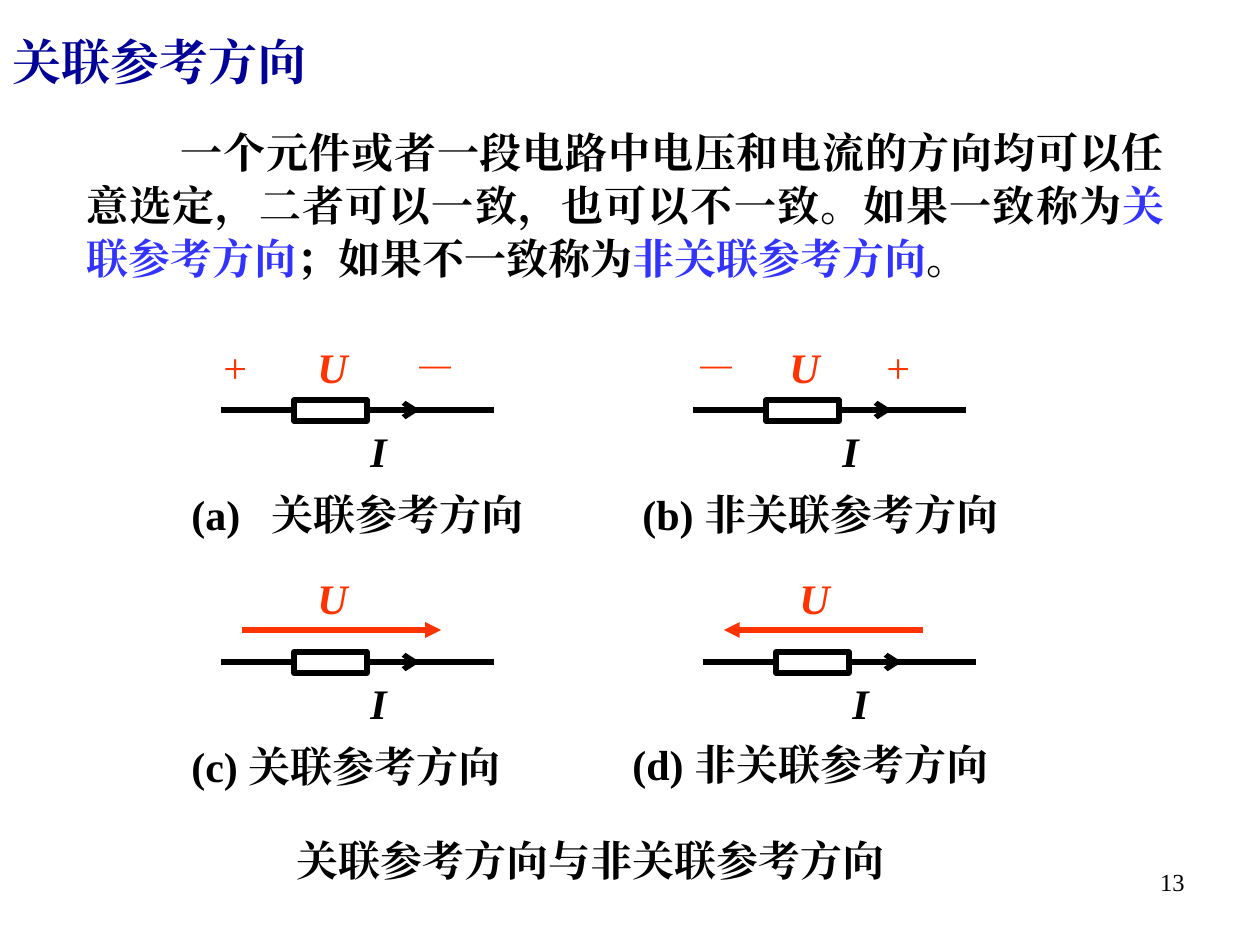
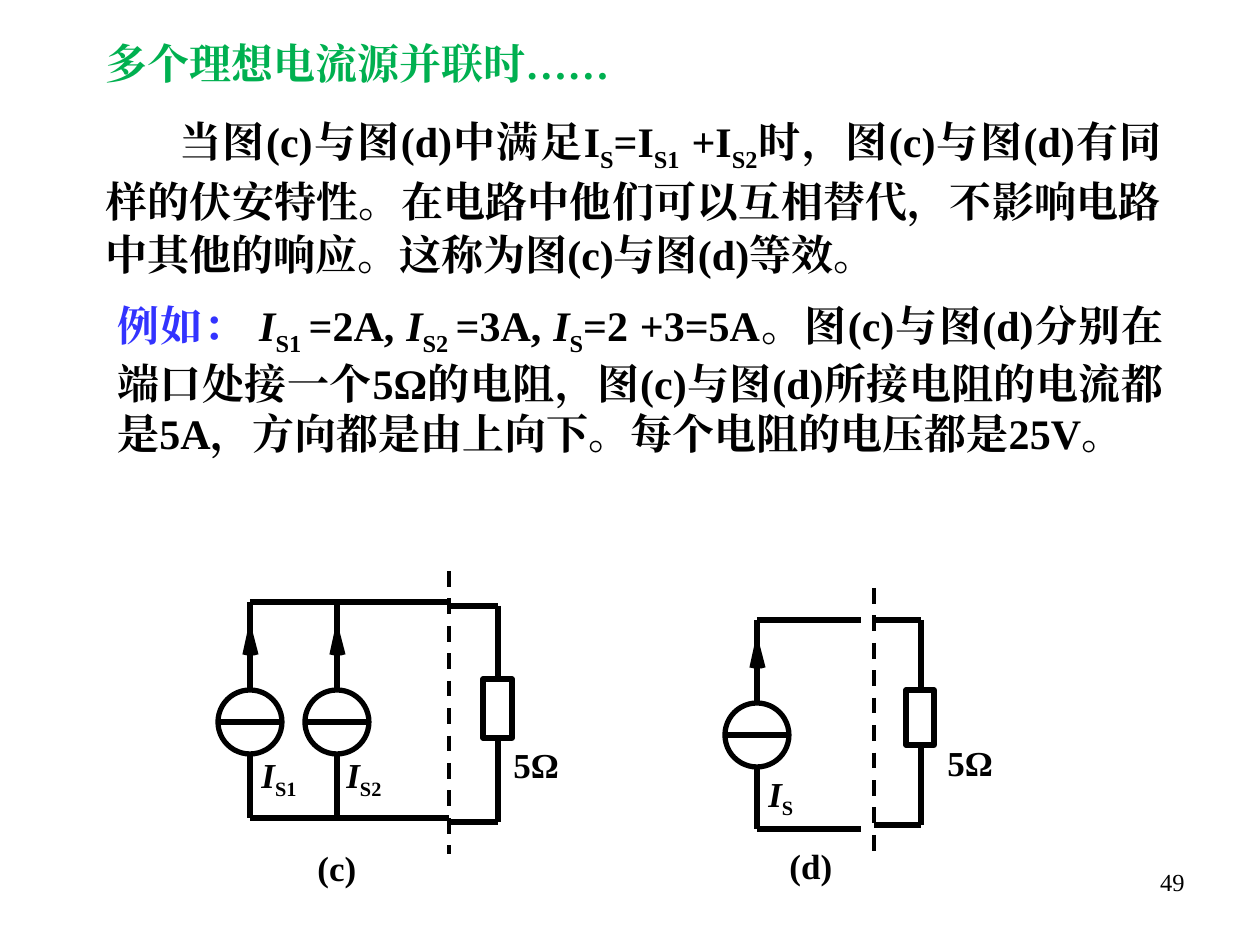
from dataclasses import dataclass

from lxml.etree import SubElement
from pptx import Presentation
from pptx.dml.color import RGBColor
from pptx.enum.dml import MSO_LINE
from pptx.enum.shapes import MSO_CONNECTOR, MSO_SHAPE
from pptx.enum.text import PP_ALIGN
from pptx.oxml.ns import qn
from pptx.util import Pt

EMU_PER_PX = 914400 / 126
FONT = "Times New Roman"
BLACK, WHITE = "000000", "FFFFFF"
NAVY, BLUE, GREEN, RED = "000099", "3333FF", "00B050", "FF3300"


@dataclass
class Words:
    """A stretch of text in one style."""
    text: str
    color: str = BLACK
    bold: bool = True
    italic: bool = False
    subscript: bool = False


def px(length):
    return round(length * EMU_PER_PX)


def rgb(color):
    return RGBColor.from_string(color)


def symbol(text, color=BLACK):
    return Words(text, color, italic=True)


def sub(text):
    return Words(text, subscript=True)


def add_run(paragraph, words, size):
    run = paragraph.add_run()
    run.text = words.text
    run.font.name = FONT
    run.font.size = Pt(size)
    run.font.bold = words.bold
    run.font.italic = words.italic
    run.font.color.rgb = rgb(words.color)
    properties = run._r.get_or_add_rPr()
    SubElement(properties, qn("a:ea")).set("typeface", FONT)
    if words.subscript:
        properties.set("baseline", "-25000")


def add_text(shapes, box, *runs, size=24, align=PP_ALIGN.LEFT, indent=0, tab=0,
             top_inset=6, line_spacing=None):
    """Write one paragraph; indent moves its first line, tab sets its only tab stop."""
    frame = shapes.add_textbox(*map(px, box)).text_frame
    frame.word_wrap = True
    frame.margin_top = px(top_inset)
    paragraph = frame.paragraphs[0]
    paragraph.alignment = align
    if line_spacing:
        paragraph.line_spacing = line_spacing
    properties = paragraph._p.get_or_add_pPr()
    if indent:
        properties.set("indent", str(px(indent)))
    if tab:
        tabs = SubElement(properties, qn("a:tabLst"))
        SubElement(tabs, qn("a:tab"), pos=str(px(tab)), algn="l")
    for words in runs:
        add_run(paragraph, Words(words) if isinstance(words, str) else words, size)


def add_line(shapes, start, end, color=BLACK, width=3, head=None, dashed=False):
    line = shapes.add_connector(MSO_CONNECTOR.STRAIGHT, *map(px, (*start, *end)))
    line.line.color.rgb = rgb(color)
    line.line.width = Pt(width)
    if dashed:
        line.line.dash_style = MSO_LINE.DASH
    if head:
        SubElement(line.line._get_or_add_ln(), qn("a:tailEnd")).set("type", head)
    SubElement(line._element.spPr, qn("a:effectLst"))


def add_outline(shapes, kind, box):
    shape = shapes.add_shape(kind, *map(px, box))
    shape.shadow.inherit = False
    shape.fill.solid()
    shape.fill.fore_color.rgb = rgb(WHITE)
    shape.line.color.rgb = rgb(BLACK)
    shape.line.width = Pt(3)


def add_element(slide, x, y, voltage_rise):
    """Draw a resistor on a wire from (x, y), with its current and voltage labels."""
    shapes = slide.shapes.add_group_shape().shapes
    add_line(shapes, (x, y), (x + 273, y))
    add_outline(shapes, MSO_SHAPE.RECTANGLE, (x + 73, y - 10, 73, 21))
    add_line(shapes, (x + 147, y), (x + 199, y), head="arrow")
    add_text(shapes, (x + 137, y + 10, 84, 63), symbol("I"))
    add_text(shapes, (x + 84, y - voltage_rise, 84, 63), symbol("U", RED))
    return shapes


def add_polarity_element(slide, x, y, signs):
    shapes = add_element(slide, x, y, 74)
    add_text(shapes, (x - 10, y - 74, 284, 64), Words(signs, RED, bold=False), tab=191)


def add_arrow_element(slide, x, y, forward):
    shapes = add_element(slide, x, y, 95)
    ends = [(x + 21, y - 32), (x + 220, y - 32)]
    add_line(shapes, *(ends if forward else ends[::-1]), color=RED, head="triangle")


def add_current_source(shapes, x, y, top, bottom):
    """Draw a source centred at (x, y) on a wire from top to bottom, with current upwards."""
    add_line(shapes, (x, top), (x, bottom))
    add_outline(shapes, MSO_SHAPE.OVAL, (x - 32, y - 32, 64, 64))
    add_line(shapes, (x - 32, y), (x + 32, y))
    for wing in (-5, 6):
        add_line(shapes, (x, y - 90), (x + wing, y - 67))


def add_load(shapes, terminal, x, top, bottom, resistor, dash_top, dash_bottom):
    """Draw the resistor branch at x and the dashed port line at terminal."""
    add_line(shapes, (x, top), (x, bottom))
    add_outline(shapes, MSO_SHAPE.RECTANGLE, resistor)
    for y in (top, bottom):
        add_line(shapes, (terminal, y), (x, y))
    add_line(shapes, (terminal, dash_top), (terminal, dash_bottom), width=2.25, dashed=True)


def add_source_circuit(slide, sources, y, top, bottom, wire_end):
    shapes = slide.shapes.add_group_shape().shapes
    for x in sources:
        add_current_source(shapes, x, y, top, bottom)
    for wire_y in (top, bottom):
        add_line(shapes, (sources[0], wire_y), (wire_end, wire_y))
    return shapes


def add_slide(presentation, number):
    slide = presentation.slides.add_slide(presentation.slide_layouts[6])
    slide.background.fill.solid()
    slide.background.fill.fore_color.rgb = rgb(WHITE)
    add_text(slide.shapes, (903, 861, 294, 66), Words(number, bold=False),
             size=14, align=PP_ALIGN.RIGHT)
    return slide


def build_reference_directions(presentation):
    slide = add_slide(presentation, "13")
    shapes = slide.shapes
    add_text(shapes, (0, 26, 410, 73), Words("关联参考方向", NAVY), size=28)
    add_text(shapes, (74, 106, 1103, 183),
             "一个元件或者一段电路中电压和电流的方向均可以任意选定，二者可以一致，"
             "也可以不一致。如果一致称为",
             Words("关联参考方向", BLUE), "；如果不一致称为",
             Words("非关联参考方向", BLUE), "。",
             align=PP_ALIGN.JUSTIFY, indent=94, top_inset=18, line_spacing=1.05)

    add_arrow_element(slide, 221, 662, forward=True)
    add_arrow_element(slide, 703, 662, forward=False)
    add_polarity_element(slide, 221, 410, "+\t－")
    add_polarity_element(slide, 693, 410, "－\t+")

    add_text(shapes, (179, 735, 372, 63), "(c) 关联参考方向")
    add_text(shapes, (179, 483, 378, 63), "(a)\t关联参考方向", tab=80)
    add_text(shapes, (630, 483, 399, 63), "(b) 非关联参考方向")
    add_text(shapes, (620, 733, 410, 63), "(d) 非关联参考方向")
    add_text(shapes, (284, 829, 651, 63), "关联参考方向与非关联参考方向")


def build_parallel_sources(presentation):
    slide = add_slide(presentation, "49")
    shapes = slide.shapes
    add_text(shapes, (93, 32, 1092, 63), Words("多个理想电流源并联时……", GREEN),
             align=PP_ALIGN.JUSTIFY)
    add_text(shapes, (93, 107, 1081, 173),
             "当图(c)与图(d)中满足I", sub("S"), "=I", sub("S1"), " +I", sub("S2"),
             "时，图(c)与图(d)有同样的伏安特性。在电路中他们可以互相替代，"
             "不影响电路中其他的响应。这称为图(c)与图(d)等效。",
             align=PP_ALIGN.JUSTIFY, indent=74, line_spacing=1.05)
    add_text(shapes, (105, 294, 1071, 165), Words("例如： ", BLUE),
             symbol("I"), sub("S1 "), "=2A, ", symbol("I"), sub("S2 "), "=3A, ",
             symbol("I"), sub("S"),
             "=2 +3=5A。图(c)与图(d)分别在端口处接一个5Ω的电阻，图(c)与图(d)所接电阻的"
             "电流都是5A，方向都是由上向下。每个电阻的电压都是25V。",
             align=PP_ALIGN.JUSTIFY)

    pair = add_source_circuit(slide, (250, 337), 722, 602, 818, 449)
    add_load(pair, 449, 498, 606, 822, (483, 679, 29, 59), 571, 854)
    single = add_source_circuit(slide, (757,), 735, 620, 829, 861)
    add_load(single, 874, 921, 620, 825, (906, 690, 28, 55), 588, 855)

    for group, x, y, index in ((pair, 249, 747, "S1"), (pair, 334, 747, "S2"),
                               (single, 756, 766, "S")):
        add_text(group, (x, y, 126, 54), symbol("I"), sub(index), size=20)
    for group, x, y, text in ((pair, 501, 737, "5Ω"), (single, 935, 735, "5Ω"),
                              (pair, 305, 840, "(c)"), (single, 777, 838, "(d)")):
        add_text(group, (x, y, 94, 54), text, size=20)


def main():
    presentation = Presentation()
    presentation.slide_width = px(1260)
    presentation.slide_height = px(945)
    build_reference_directions(presentation)
    build_parallel_sources(presentation)
    presentation.save("out.pptx")


if __name__ == "__main__":
    main()
